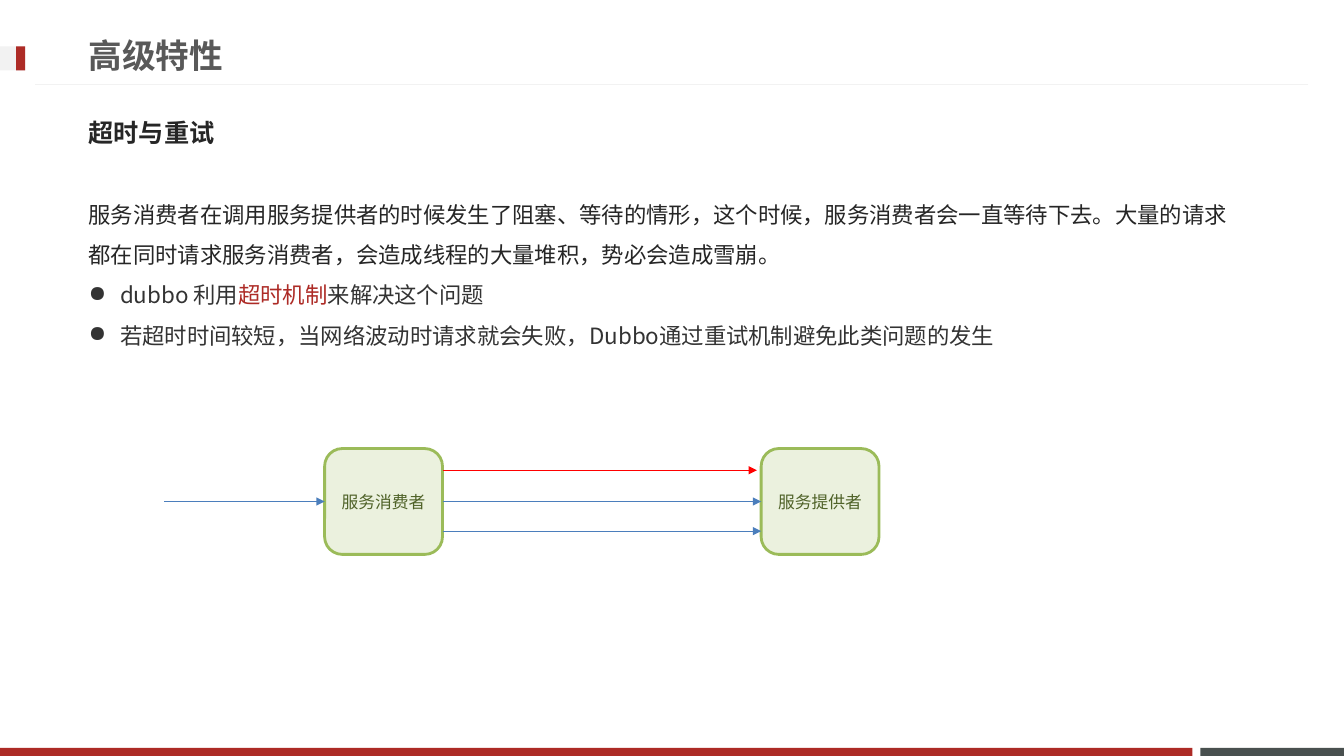
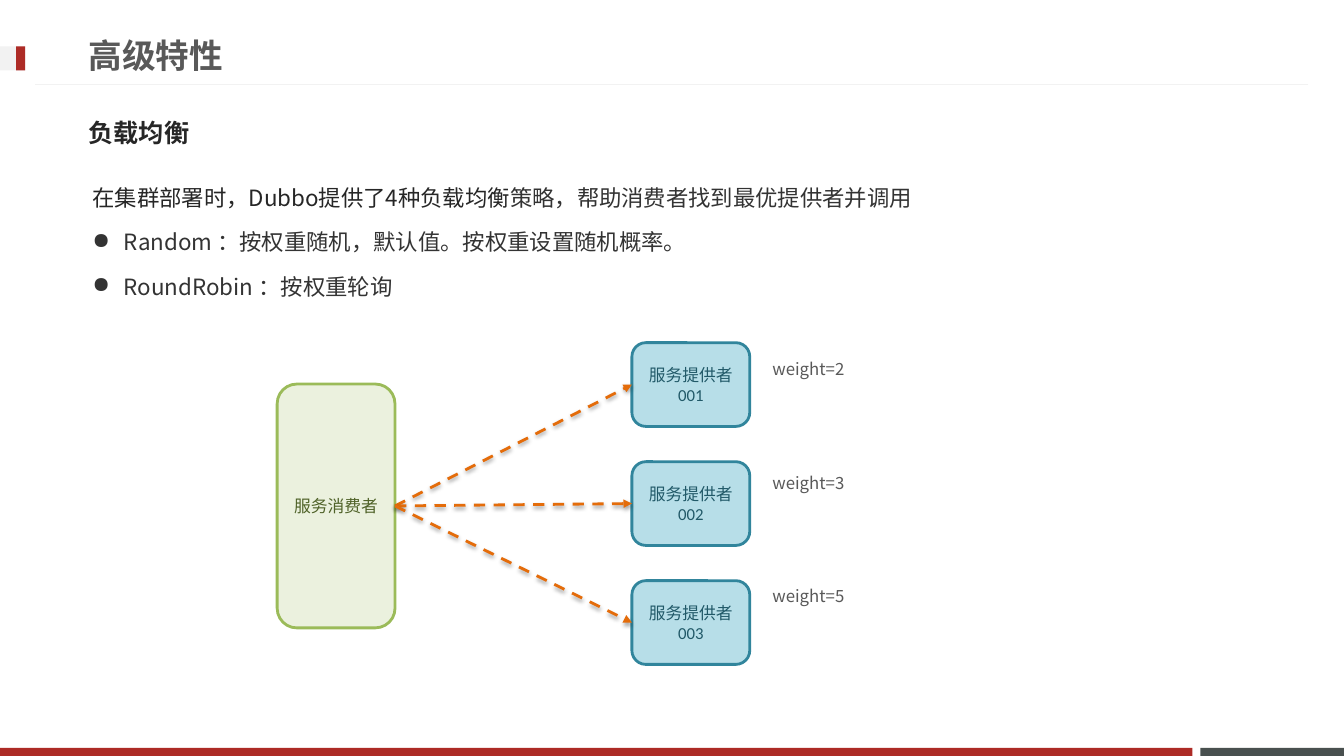
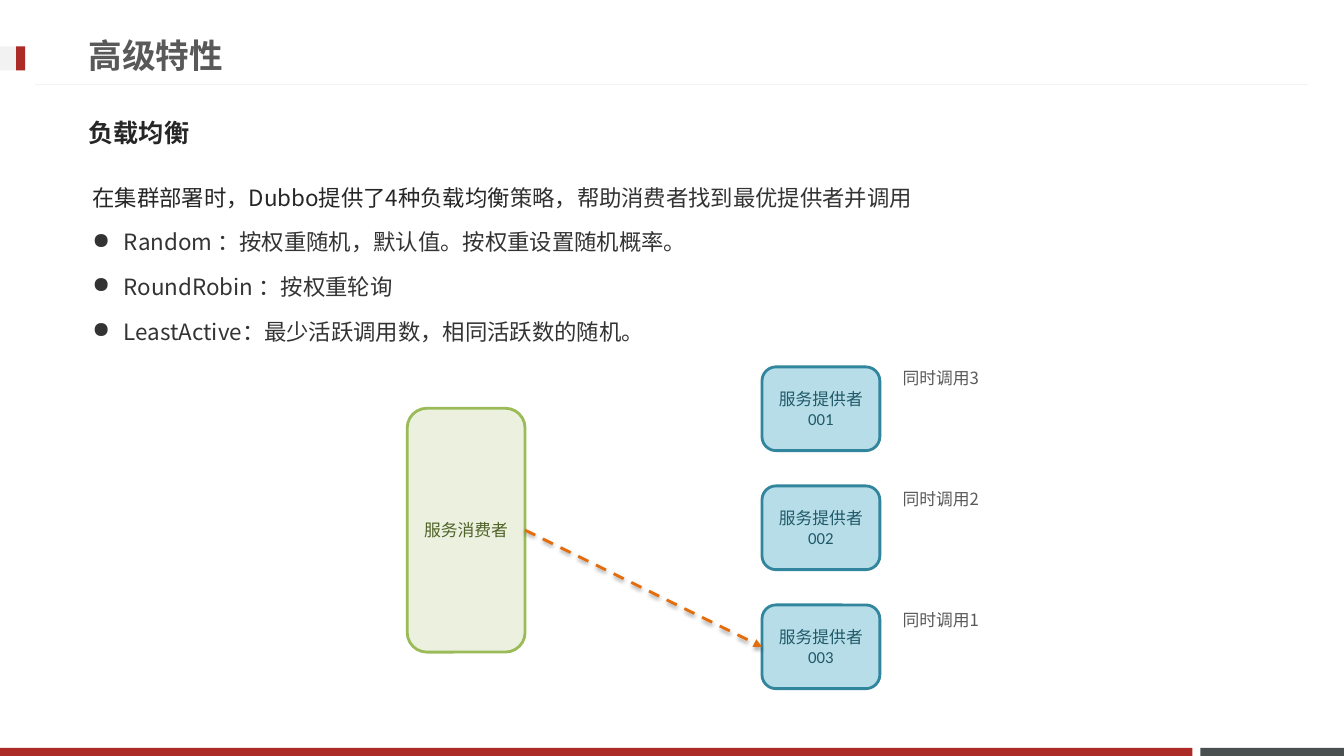
from pptx import Presentation
from pptx.dml.color import RGBColor
from pptx.enum.dml import MSO_LINE
from pptx.enum.shapes import MSO_CONNECTOR, MSO_SHAPE
from pptx.enum.text import MSO_ANCHOR, PP_ALIGN
from pptx.oxml.ns import qn
from pptx.util import Pt
from lxml import etree

RECT, ROUND = MSO_SHAPE.RECTANGLE, MSO_SHAPE.ROUNDED_RECTANGLE
STRAIGHT, DASH = MSO_CONNECTOR.STRAIGHT, MSO_LINE.DASH
MIDDLE, TOP = MSO_ANCHOR.MIDDLE, MSO_ANCHOR.TOP
LEFT, CENTER = PP_ALIGN.LEFT, PP_ALIGN.CENTER
LEFT_SIDE, RIGHT_SIDE = 1, 3

COLORS = {
    "red": "AD2B26", "slate": "49504F", "pale": "F2F2F2",
    "title": "595959", "ink": "262626", "text": "333333",
    "green_fill": "EBF1DE", "green_line": "9BBB59", "green_text": "4F6228",
    "teal_fill": "B7DEE8", "teal_line": "31859C", "teal_text": "215968",
    "call": "4B7EBC", "failed": "FF0000", "balanced": "E46C0A",
    "shadow": "000000",
}
JP, SC = "Noto Sans CJK JP", "Noto Sans CJK SC"
MONO, CALIBRI = "Noto Sans Mono", "Calibri"
SLIDE_W, SLIDE_H = 960, 540
NODE_W = 84.2
BODY_W = 842.4
INTRO = [("在集群部署时，Dubbo提供了4种负载均衡", "ink", JP),
         ("策略，帮助消费者找到最优提供者并调用", "text", SC)]
RANDOM = [("Random ：按权重随机，默认值。按权重设置随机概率。", "text", SC)]
ROUND_ROBIN = [("RoundRobin ：按权重轮询", "text", SC)]
LEAST_ACTIVE = [("LeastActive：最少活跃调用数，相同活跃数的随机。", "text", SC)]


def rgb(name):
    return RGBColor.from_string(COLORS[name])


def add_xml(parent, tag, **attributes):
    return etree.SubElement(parent, qn(tag), attributes)


def style(part, size, color, face, bold=False):
    """Format a paragraph or a run, for Latin and East Asian text."""
    font = part.font
    font.size, font.bold, font.name = Pt(size), bold, face
    font.color.rgb = rgb(color)
    east_asian = face if face in (JP, SC) else SC
    latin = font._rPr.find(qn("a:latin"))
    latin.addnext(latin.makeelement(qn("a:ea"), {"typeface": east_asian}))


def add_box(slide, kind, left, top, width, height, fill, line=None):
    box = slide.shapes.add_shape(kind, Pt(left), Pt(top), Pt(width), Pt(height))
    box.shadow.inherit = False
    box.fill.solid()
    box.fill.fore_color.rgb = rgb(fill)
    if line:
        box.line.color.rgb = rgb(line)
        box.line.width = Pt(2)
    else:
        box.line.fill.background()
    return box


def add_node(slide, left, top, height, lines, hue):
    """A rounded box for one service, in the given hue."""
    node = add_box(slide, ROUND, left, top, NODE_W, height, hue + "_fill", hue + "_line")
    frame = node.text_frame
    frame.word_wrap = True
    frame.vertical_anchor = MIDDLE
    frame.text = "\n".join(lines)
    for paragraph in frame.paragraphs:
        paragraph.alignment = CENTER
        style(paragraph, 12, hue + "_text", CALIBRI)
    return node


def add_line(slide, start, end, color, width=0.75, dashed=False, arrow=True):
    line = slide.shapes.add_connector(STRAIGHT, *map(Pt, start + end))
    line.line.color.rgb = rgb(color)
    line.line.width = Pt(width)
    if dashed:
        line.line.dash_style = DASH
    properties = line.element.spPr
    if arrow:
        add_xml(properties.find(qn("a:ln")), "a:tailEnd", type="triangle")
    effects = add_xml(properties, "a:effectLst")
    if dashed:
        shadow = add_xml(effects, "a:outerShdw", blurRad=str(Pt(3.1)),
                         dist=str(Pt(1.6)), dir="5400000", rotWithShape="0")
        shade = add_xml(shadow, "a:srgbClr", val=COLORS["shadow"])
        add_xml(shade, "a:alpha", val="38000")
    return line


def add_text(slide, left, top, width, height, anchor=TOP):
    frame = slide.shapes.add_textbox(Pt(left), Pt(top), Pt(width), Pt(height)).text_frame
    frame.word_wrap = True
    frame.vertical_anchor = anchor
    return frame


def add_frame(slide, layout):
    """Draw the bands and the header rule, and keep them on the layout."""
    for footer in list(layout.placeholders)[1:]:
        footer.element.getparent().remove(footer.element)
    parts = [
        add_box(slide, RECT, 857.5, 534.2, SLIDE_W - 857.5, 5.8, "slate"),
        add_box(slide, RECT, 0, 534.2, 851.8, 5.8, "red"),
        add_line(slide, (934.6, 60.5), (25.2, 60.5), "pale", arrow=False),
        add_box(slide, RECT, 0, 33.1, 18, 17.3, "pale"),
        add_box(slide, RECT, 11.5, 33.1, 6.5, 17.3, "red"),
    ]
    for part in parts:
        layout.shapes.element.append(part.element)


def add_heading(slide, topic):
    title = slide.shapes.title
    title.left, title.top, title.width, title.height = map(Pt, (56.2, 18.7, 690.5, 41))
    title.text_frame.text = "高级特性"
    title.text_frame.vertical_anchor = MIDDLE
    heading = title.text_frame.paragraphs[0]
    heading.alignment = LEFT
    style(heading, 24, "title", MONO, bold=True)

    frame = add_text(slide, 56.2, 74.2, BODY_W, 41, MIDDLE)
    frame.text = topic
    paragraph = frame.paragraphs[0]
    paragraph.space_before = Pt(3.6)
    style(paragraph, 18, "ink", JP, bold=True)


def add_body(slide, left, top, height, passages, bullet_gap):
    """An introduction followed by bullets; a passage is a list of runs."""
    frame = add_text(slide, left, top, BODY_W, height)
    for index, runs in enumerate(passages):
        paragraph = frame.add_paragraph() if index else frame.paragraphs[0]
        paragraph.line_spacing = 1.5
        paragraph.space_before = Pt(bullet_gap if index else 3.2)
        if index:
            properties = paragraph._p.get_or_add_pPr()
            properties.set("marL", str(Pt(22.5)))
            properties.set("indent", str(-Pt(22.5)))
            add_xml(properties, "a:buChar", char="●")
        for text, color, face in runs:
            run = paragraph.add_run()
            run.text = text
            if len(runs) > 1:
                style(run, 16, color, face)
        if len(runs) == 1:
            style(paragraph, 16, color, face)


def add_retry_diagram(slide, left, top):
    """A consumer that calls its provider again after a timeout."""
    height, consumer_x, provider_x = 75.6, left + 114.5, left + 426.3
    consumer = add_node(slide, consumer_x, top, height, ["服务消费者"], "green")
    provider = add_node(slide, provider_x, top, height, ["服务提供者"], "green")
    exit_x, middle = consumer_x + NODE_W, top + height / 2

    add_line(slide, (exit_x, top + 15.5), (provider_x - 3, top + 15.5), "failed")
    request = add_line(slide, (left, middle), (consumer_x, middle), "call")
    request.end_connect(consumer, LEFT_SIDE)
    retry = add_line(slide, (exit_x, middle), (provider_x, middle), "call")
    retry.begin_connect(consumer, RIGHT_SIDE)
    retry.end_connect(provider, LEFT_SIDE)
    add_line(slide, (exit_x, top + 59), (provider_x, top + 59), "call")


def add_balance_diagram(slide, left, top, called, labels, label_top, label_pitch):
    """A consumer, three labelled providers and arrows to those called."""
    consumer_y, consumer_h = top + 29.5, 174.2
    provider_x, provider_h, pitch = left + 253.4, 59.8, 85
    consumer = add_node(slide, left, consumer_y, consumer_h, ["服务消费者"], "green")
    start = (left + NODE_W, consumer_y + consumer_h / 2)
    for index, label in enumerate(labels):
        number = index + 1
        provider_y = top + index * pitch
        provider = add_node(slide, provider_x, provider_y, provider_h,
                            ["服务提供者", f"{number:03}"], "teal")
        if number in called:
            end = (provider_x, provider_y + provider_h / 2)
            call = add_line(slide, start, end, "balanced", 2, dashed=True)
            call.begin_connect(consumer, RIGHT_SIDE)
            call.end_connect(provider, LEFT_SIDE)
        frame = add_text(slide, left + 346.7, top + label_top + index * label_pitch, 69.8, 21.8)
        frame.text = label
        style(frame.paragraphs[0], 12, "title", JP)


def retry_slide(slide):
    add_heading(slide, "超时与重试")
    add_body(slide, 56.2, 130.3, 166.3, [
        [("服务消费者在调用服务提供者的时候发生了阻塞、等待的情形，这个时候，服务消费者会一直等待下去。"
          "大量的请求都在同时请求服务消费者，会造成线程的大量堆积，势必会造成雪崩。", "ink", JP)],
        [("dubbo 利用", "text", SC), ("超时机制", "red", SC), ("来解决这个问题", "text", SC)],
        [("若超时时间较短，当网络波动时请求就会失败，Dubbo通过重试机制避免此类问题的发生", "text", SC)],
    ], bullet_gap=0)
    add_retry_diagram(slide, 117.4, 320.4)


def balance_slide(slide, passages, **diagram):
    add_heading(slide, "负载均衡")
    add_body(slide, 59, 118.1, 32 * len(passages), passages, bullet_gap=3.2)
    add_balance_diagram(slide, **diagram)


def main():
    deck = Presentation()
    deck.slide_width, deck.slide_height = Pt(SLIDE_W), Pt(SLIDE_H)
    layout = deck.slide_layouts[5]
    retry, weighted, least_active = [deck.slides.add_slide(layout) for _ in range(3)]
    add_frame(retry, layout)

    retry_slide(retry)
    balance_slide(weighted, [INTRO, RANDOM, ROUND_ROBIN],
                  left=198, top=244.8, called=(1, 2, 3),
                  labels=[f"weight={weight}" for weight in (2, 3, 5)],
                  label_top=8, label_pitch=81)
    balance_slide(least_active, [INTRO, RANDOM, ROUND_ROBIN, LEAST_ACTIVE],
                  left=290.9, top=262.1, called=(3,),
                  labels=[f"同时调用{calls}" for calls in (3, 2, 1)],
                  label_top=-3, label_pitch=86.4)
    deck.save("out.pptx")


if __name__ == "__main__":
    main()
